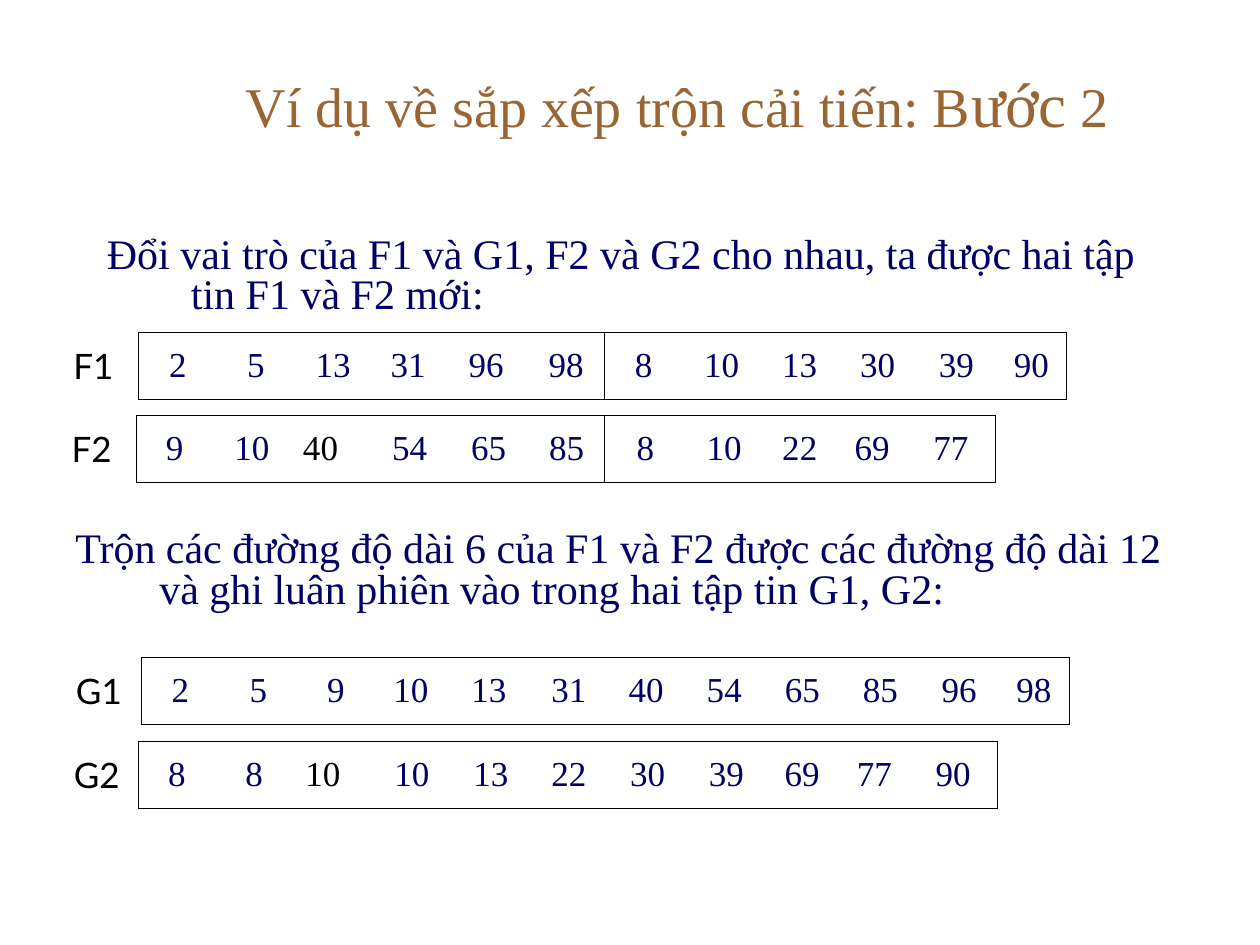
"""Build the slide showing step 2 of the improved merge sort."""
from itertools import accumulate

from lxml.etree import SubElement
from pptx import Presentation
from pptx.dml.color import RGBColor
from pptx.enum.text import MSO_ANCHOR, PP_ALIGN
from pptx.oxml.ns import qn
from pptx.util import Pt

COLORS = {"title": "996633", "text": "000066", "black": "000000"}
SERIF = "Times New Roman"
LABEL_FONT = "Lato"
ROW_HEIGHT = 38.3
BORDER_WIDTH = 0.45
LONG_COLUMNS = [44.6, 44.6, 44.6, 43.9, 41.8, 47.5, 43.9,
                44.6, 44.6, 44.6, 44.6, 45.4, 40.3]
SHORT_COLUMNS = [44.1, 44.1, 44.1, 46.1, 44.1, 46.1, 43.2,
                 46.8, 43.2, 43.2, 39.6, 50.4]
FILES = [
    {"name": "F1", "left": 34.7, "top": 189.7, "columns": LONG_COLUMNS, "black": None,
     "runs": [[2, 5, 13, 31, 96, 98], [8, 10, 13, 30, 39, 90]]},
    {"name": "F2", "left": 33.7, "top": 237.5, "columns": SHORT_COLUMNS, "black": 3,
     "runs": [[9, 10, 40, 54, 65, 85], [8, 10, 22, 69, 77]]},
    {"name": "G1", "left": 36.2, "top": 375.7, "columns": LONG_COLUMNS, "black": None,
     "runs": [[2, 5, 9, 10, 13, 31, 40, 54, 65, 85, 96, 98]]},
    {"name": "G2", "left": 35, "top": 423.6, "columns": SHORT_COLUMNS, "black": 3,
     "runs": [[8, 8, 10, 10, 13, 22, 30, 39, 69, 77, 90]]},
]


def add_span(para, text, size, color, font=SERIF):
    """Add a formatted run to a paragraph."""
    span = para.add_run()
    span.text = text
    for name, value in {"name": font, "size": Pt(size)}.items():
        setattr(span.font, name, value)
    span.font.color.rgb = RGBColor.from_string(COLORS[color])


def add_box(page, left, top, width, height, anchor):
    """Add a wrapping text box and return its first paragraph."""
    box = page.shapes.add_textbox(Pt(left), Pt(top), Pt(width), Pt(height))
    for name, value in {"word_wrap": True, "vertical_anchor": anchor}.items():
        setattr(box.text_frame, name, value)
    return box.text_frame.paragraphs[0]


def add_title(page):
    """Add the centred title with its larger middle span."""
    para = add_box(page, 90, 21.6, 594, 74.2, MSO_ANCHOR.MIDDLE)
    para.alignment = PP_ALIGN.CENTER
    for text, size in [("Ví dụ về sắp xếp trộn cải tiến: B", 32), ("ước", 36), (" 2", 32)]:
        add_span(para, text, size, "title")


def add_statement(page, left, top, width, height, text):
    """Add a body paragraph with a hanging indent."""
    para = add_box(page, left, top, width, height, MSO_ANCHOR.TOP)
    para.line_spacing = 0.8
    properties = para._p.get_or_add_pPr()
    properties.set("marL", str(Pt(48)))
    properties.set("indent", str(Pt(-48)))
    add_span(para, text, 24, "text")


def set_borders(cell, visible):
    """Draw the named sides of a cell and hide the others."""
    cell.fill.background()
    properties = cell._tc.get_or_add_tcPr()
    for index, side in enumerate("LRTB"):
        line = SubElement(properties, qn(f"a:ln{side}"), w=str(Pt(BORDER_WIDTH)))
        properties.insert(index, line)
        if side in visible:
            fill = SubElement(line, qn("a:solidFill"))
            SubElement(fill, qn("a:srgbClr"), val=COLORS["black"])
        else:
            SubElement(line, qn("a:noFill"))


def fill_cell(cell, text, color, font, alignment, borders):
    """Write one table cell and its borders."""
    cell.vertical_anchor = MSO_ANCHOR.MIDDLE
    para = cell.text_frame.paragraphs[0]
    para.alignment = alignment
    add_span(para, text, 20, color, font)
    set_borders(cell, borders)


def add_file(page, name, left, top, columns, black, runs):
    """Add a labelled one-row table, framing each sorted run."""
    frame = page.shapes.add_table(1, len(columns), Pt(left), Pt(top),
                                  Pt(sum(columns)), Pt(ROW_HEIGHT))
    table = frame.table
    for flag in ("first_row", "horz_banding"):
        setattr(table, flag, False)
    table.rows[0].height = Pt(ROW_HEIGHT)
    for column, width in zip(table.columns, columns):
        column.width = Pt(width)
    fill_cell(table.cell(0, 0), name, "black", LABEL_FONT, PP_ALIGN.JUSTIFY, "R")
    ends = list(accumulate(len(run) for run in runs))
    starts = [1] + [end + 1 for end in ends]
    for index, number in enumerate(sum(runs, []), start=1):
        borders = "TB" + "L" * (index in starts) + "R" * (index in ends)
        color, alignment = (("black", PP_ALIGN.LEFT) if index == black
                            else ("text", PP_ALIGN.CENTER))
        fill_cell(table.cell(0, index), str(number), color, SERIF, alignment, borders)


def main():
    """Build and save the deck."""
    deck = Presentation()
    deck.slide_width, deck.slide_height = Pt(720), Pt(540)
    page = deck.slides.add_slide(deck.slide_layouts[6])
    add_title(page)
    add_statement(page, 54, 131.8, 630, 64.8,
                  "Ðổi vai trò của F1 và G1, F2 và G2 cho nhau, "
                  "ta được hai tập tin F1 và F2 mới:")
    add_statement(page, 36, 300.2, 648, 66.2,
                  "Trộn các đường độ dài 6 của F1 và F2 được các đường độ dài 12 "
                  "và ghi luân phiên vào trong hai tập tin G1, G2:")
    for file in FILES:
        add_file(page, **file)
    deck.save("out.pptx")


if __name__ == "__main__":
    main()
